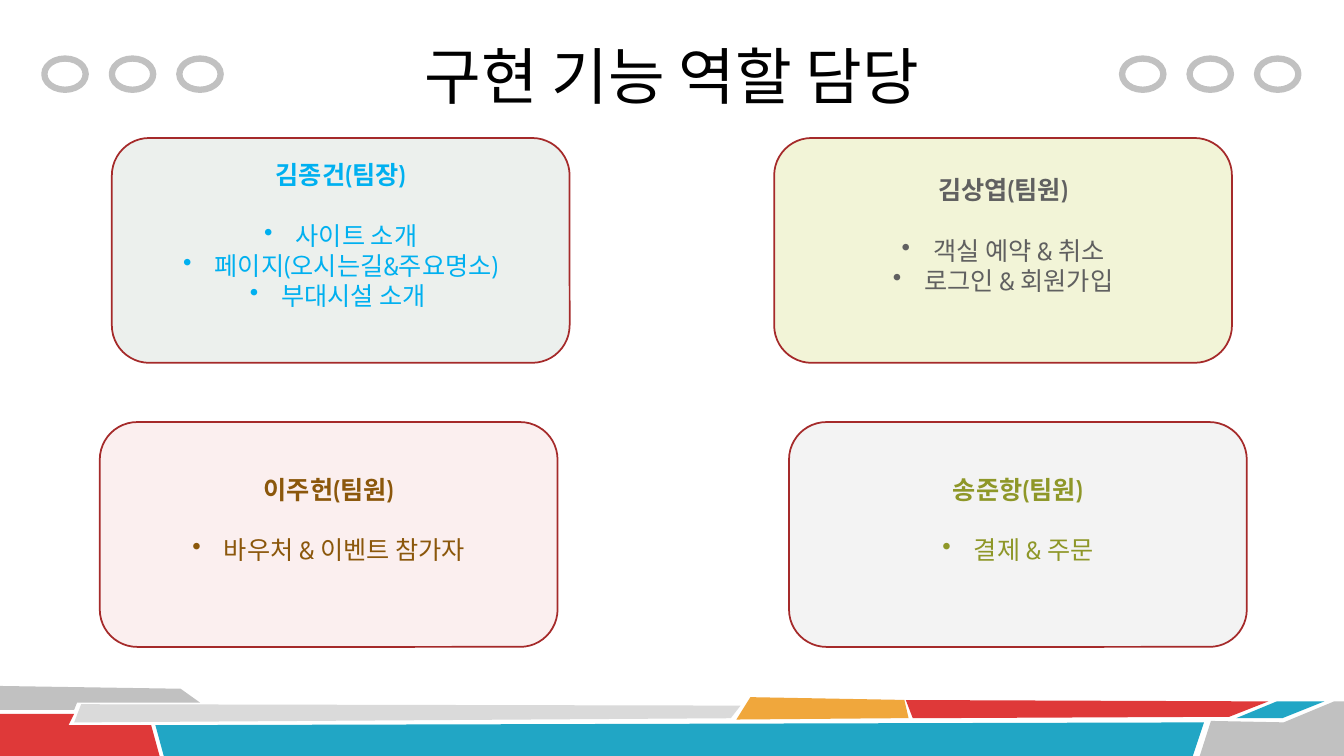
from dataclasses import dataclass

from lxml import etree
from pptx import Presentation
from pptx import util as u
from pptx.dml import color
from pptx.enum import shapes, text
from pptx.oxml import ns

Pt = u.Pt


@dataclass(frozen=True)
class Theme:
    grey: str = "C1C1C1"
    pale: str = "DADADA"
    red: str = "DF3939"
    blue: str = "21A6C5"
    gold: str = "F0A73C"
    edge: str = "A52A2A"
    ink: str = "000000"
    head: str = "Calibri"
    body: str = "Cabin"
    big: float = 44
    small: float = 18
    row: float = 21.6


T = Theme()

BANDS = [
    (T.grey, [(0, 0), (129, 2.2), (143.3, 11.8), (54.7, 11.8), (53.3, 17), (0, 17)]),
    (T.red, [(0, 19.8), (52.6, 19.8), (49, 27.7), (108, 27.7), (114.5, 50), (0, 50)]),
    (T.pale, [(57.6, 13.3), (529.2, 14), (522, 23.4), (52.6, 25.5)]),
    (T.blue, [(110.9, 28.4), (860.4, 25.5), (852.5, 50), (116.6, 50)]),
    (T.gold, [(535.7, 8.2), (645.8, 10.4), (648.7, 23.4), (525.6, 24.1)]),
    (T.red, [(647.3, 10.4), (906.5, 11.1), (878.4, 21.9), (652.3, 23.4)]),
    (T.blue, [(912.2, 11.1), (946.1, 11.1), (915.8, 22.6), (883.4, 22.6)]),
    (T.grey, [(864.7, 24.8), (917.3, 25.5), (953.3, 11.1), (960, 11.1),
              (960, 50), (856.8, 50)]),
]

CARDS = [
    (79.9, 98.6, "ECF0ED", "00B0F0", "김종건(팀장)",
     ["사이트 소개", "페이지(오시는길&주요명소)", "부대시설 소개 "]),
    (553, 98.6, "F2F4D7", "606060", "김상엽(팀원)",
     ["객실 예약 & 취소", "로그인 & 회원가입"]),
    (71.3, 301.5, "FBEFEF", "8B570B", "이주헌(팀원)", ["바우처 & 이벤트 참가자"]),
    (563.6, 301.5, "F3F3F3", "8E9728", "송준항(팀원)", ["결제 & 주문"]),
]


def rgb(tone):
    return color.RGBColor.from_string(tone)


def paint(shape, fill=None, line=None, width=1):
    shape.shadow.inherit = False
    if fill:
        shape.fill.solid()
        shape.fill.fore_color.rgb = rgb(fill)
    else:
        shape.fill.background()
    if line:
        shape.line.color.rgb = rgb(line)
        shape.line.width = Pt(width)
    else:
        shape.line.fill.background()


def style(para, face, size, tone, bold=False):
    para.alignment = text.PP_ALIGN.CENTER
    font = para.font
    font.name, font.size, font.bold = face, Pt(size), bold
    font.color.rgb = rgb(tone)


def bullet(para):
    props = para._p.get_or_add_pPr()
    props.set("marL", str(Pt(22.5)))
    props.set("indent", str(-Pt(22.5)))
    mark = etree.Element(ns.qn("a:buChar"), char="•")
    props.insert_element_before(mark, "a:tabLst", "a:defRPr", "a:extLst")


def footer(slide, left, top):
    for tone, dots in BANDS:
        spots = [(left + x, top + y) for x, y in dots]
        pen = slide.shapes.build_freeform(*spots[0], scale=Pt(1))
        pen.add_line_segments(spots[1:], close=True)
        paint(pen.convert_to_shape(), tone)


def rings(slide, left, top):
    for i in range(3):
        ring = slide.shapes.add_shape(
            shapes.MSO_SHAPE.OVAL, Pt(left + 48.2 * i), Pt(top), Pt(29.5), Pt(22.3))
        paint(ring, line=T.grey, width=4.5)


def title(slide, left, top, wide, high, words):
    frame = slide.shapes.add_textbox(Pt(left), Pt(top), Pt(wide), Pt(high)).text_frame
    frame.word_wrap = True
    frame.vertical_anchor = text.MSO_ANCHOR.MIDDLE
    para = frame.paragraphs[0]
    para.text = words
    style(para, T.head, T.big, T.ink)


def card(slide, left, top, wide, high, fill, tone, name, tasks):
    box = slide.shapes.add_shape(
        shapes.MSO_SHAPE.ROUNDED_RECTANGLE, Pt(left), Pt(top), Pt(wide), Pt(high))
    paint(box, fill, T.edge, 1.25)
    frame = box.text_frame
    frame.word_wrap = True
    frame.vertical_anchor = text.MSO_ANCHOR.MIDDLE
    frame.margin_bottom = Pt(3.6 + T.row)
    para = frame.paragraphs[0]
    para.text = name
    style(para, T.body, T.small, tone, True)
    para.space_after = Pt(T.row)
    for task in tasks:
        para = frame.add_paragraph()
        para.text = task
        style(para, T.body, T.small, tone)
        bullet(para)


def main():
    deck = Presentation()
    deck.slide_width, deck.slide_height = Pt(960), Pt(540)
    slide = deck.slides.add_slide(deck.slide_layouts[6])
    footer(slide, 0, 490)
    for left in (31.7, 801.5):
        rings(slide, left, 41.8)
    title(slide, 168, 8.6, 624, 90, "구현 기능 역할 담당")
    for left, top, *rest in CARDS:
        card(slide, left, top, 327, 160.6, *rest)
    deck.save("out.pptx")


if __name__ == "__main__":
    main()
